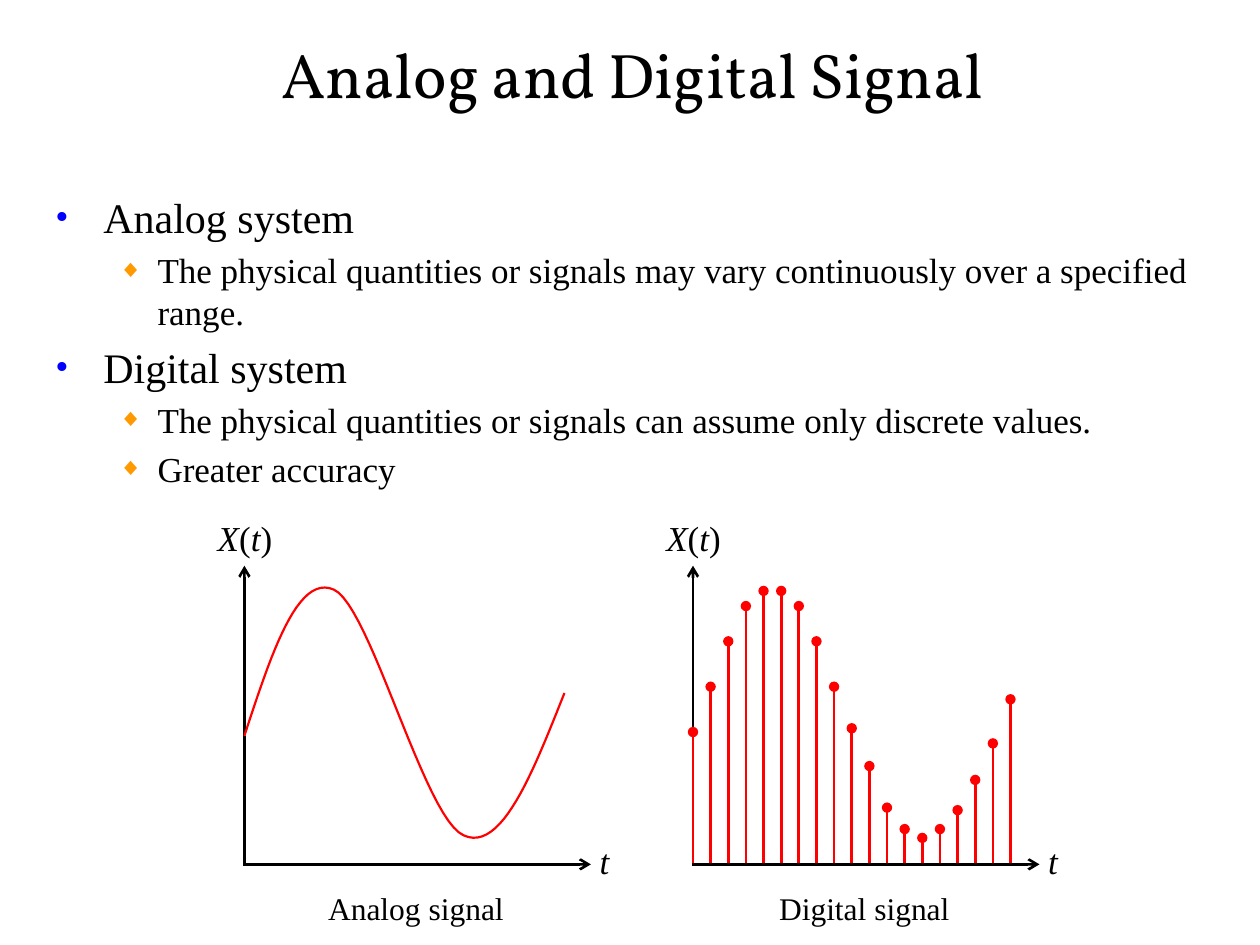
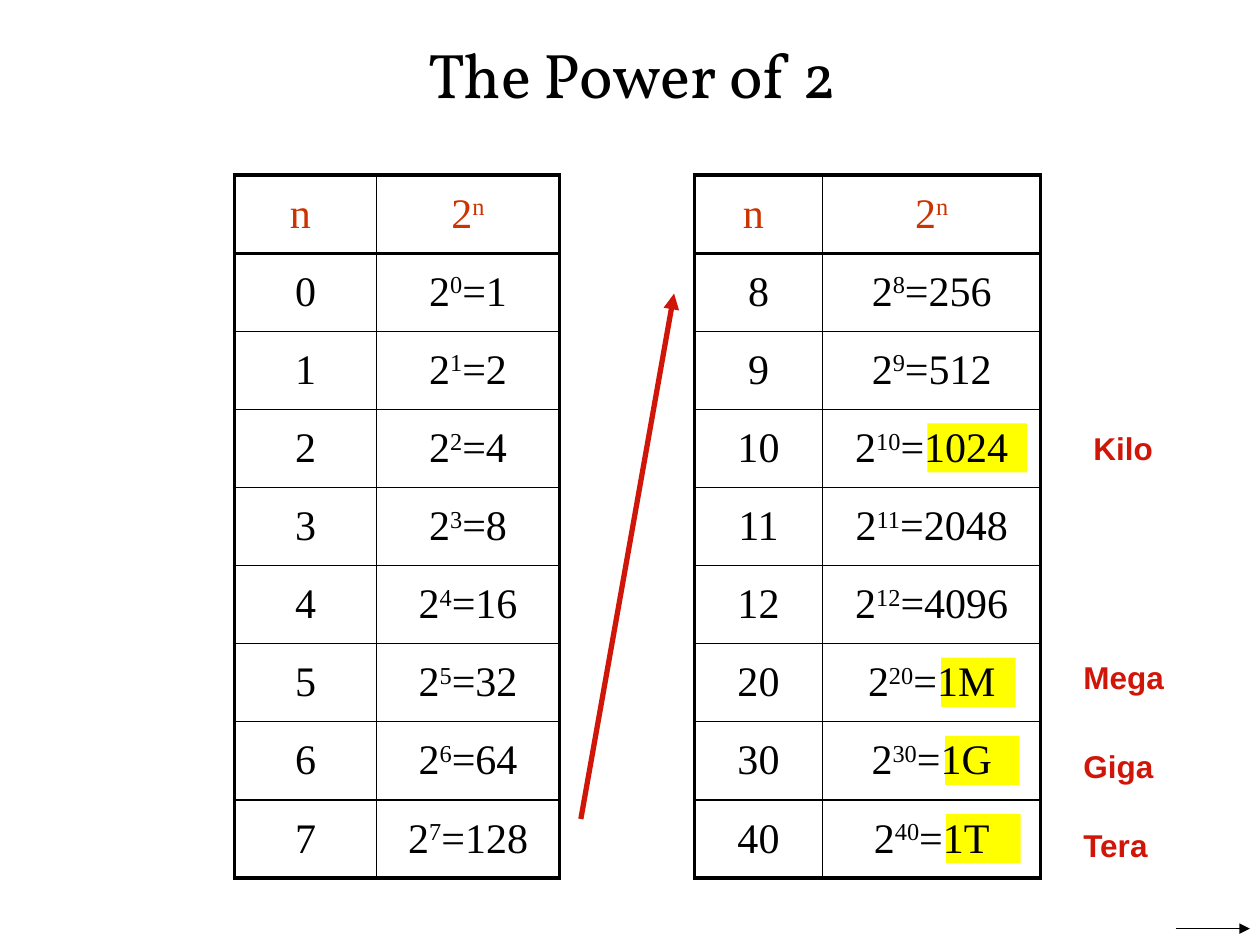
"""Build two slides on analog and digital signals and powers of two."""
from lxml import etree
from pptx import Presentation
from pptx import util as u
from pptx.dml.color import RGBColor
from pptx.enum import shapes, text
from pptx.oxml import ns

BLACK = RGBColor(0, 0, 0)
WHITE = RGBColor(0xFF, 0xFF, 0xFF)
RED = RGBColor(0xFF, 0, 0)
BLUE = RGBColor(0, 0, 0xFF)
ORANGE = RGBColor(0xFF, 0x99, 0)
RUST = RGBColor(0xCC, 0x33, 0)
CRIMSON = RGBColor(0xD0, 0x16, 0x08)
YELLOW = RGBColor(0xFF, 0xFF, 0)
SERIF, SANS, HEAD = "Times New Roman", "Arial", "Vollkorn"
THICK, THIN = 2.25, 1

BULLETS = [(0, "Analog system"),
           (1, "The physical quantities or signals may vary continuously "
               "over a specified range."),
           (0, "Digital system"),
           (1, "The physical quantities or signals can assume only discrete values."),
           (1, "Greater accuracy")]
LEVELS = [("•", BLUE, 90, 24, 0.38, 0.38), ("◆", ORANGE, 70, 20, 0.81, 0.31)]
WAVE = [(1.94, 5.84), (2.15, 5.2), (2.36, 4.55), (2.65, 4.68), (2.94, 4.81),
        (3.37, 6.5), (3.68, 6.63), (3.98, 6.77), (4.23, 6.13), (4.48, 5.5)]
STEMS = [5.81, 5.45, 5.09, 4.81, 4.69, 4.69, 4.81, 5.09, 5.45, 5.78,
         6.08, 6.41, 6.58, 6.65, 6.58, 6.43, 6.19, 5.9, 5.55]
LOW = [(str(n), str(2 ** n)) for n in range(8)]
HIGH = [(str(n), str(2 ** n)) for n in range(8, 13)]
HIGH += [("20", "1M"), ("30", "1G"), ("40", "1T")]
MARKS = [(7.36, 3.36, 0.79), (7.47, 5.22, 0.59), (7.5, 5.84, 0.59), (7.51, 6.46, 0.59)]
UNITS = [("Kilo", 8.58, 3.36, 0.67), ("Mega", 8.5, 5.17, 0.84),
         ("Giga", 8.5, 5.88, 0.76), ("Tera", 8.5, 6.51, 0.73)]


def node(up, tag, **attrs):
    """Append a DrawingML element and return it."""
    return etree.SubElement(up, ns.qn("a:" + tag), attrs)


def place(shape, *box):
    """Move and size a shape."""
    shape.left, shape.top, shape.width, shape.height = map(u.Inches, box)


def add_run(para, words, size, color=BLACK, face=SERIF, **style):
    """Add one formatted run."""
    run = para.add_run()
    run.text = words
    font = run.font
    font.size, font.name = u.Pt(size), face
    font.color.rgb = color
    for key, value in style.items():
        setattr(font, key, value)
    return run


def add_slide(deck, layout, words):
    """Add a slide with the shared title style."""
    slide = deck.slides.add_slide(deck.slide_layouts[layout])
    title = slide.shapes.title
    place(title, 0.33, 0.25, 9.38, 0.67)
    frame = title.text_frame
    frame.margin_left = frame.margin_right = frame.margin_top = frame.margin_bottom = 0
    frame.vertical_anchor = text.MSO_ANCHOR.MIDDLE
    frame.auto_size = text.MSO_AUTO_SIZE.NONE
    frame.paragraphs[0].alignment = text.PP_ALIGN.CENTER
    add_run(frame.paragraphs[0], words, 36, face=HEAD)
    return slide


def add_list(slide):
    """Fill the body placeholder with the two-level list."""
    body = slide.placeholders[1]
    place(body, 0.34, 1.47, 9.37, 5.69)
    frame = body.text_frame
    frame.auto_size = text.MSO_AUTO_SIZE.NONE
    for i, (level, words) in enumerate(BULLETS):
        para = frame.add_paragraph() if i else frame.paragraphs[0]
        char, color, scale, size, left, hang = LEVELS[level]
        para.level = level
        para.space_before = u.Pt(size * 0.2 if i else 0)
        props = para._p.get_or_add_pPr()
        props.set("marL", str(u.Inches(left)))
        props.set("indent", str(-u.Inches(hang)))
        node(node(props, "buClr"), "srgbClr", val=str(color))
        node(props, "buSzPct", val=str(scale * 1000))
        node(props, "buFont", typeface=SERIF)
        node(props, "buChar", char=char)
        add_run(para, words, size)


def add_label(slide, left, top, width, parts, size, height=0.4, **style):
    """Add a one-line label; parts pair words with an italic flag."""
    box = slide.shapes.add_textbox(*map(u.Inches, (left, top, width, height)))
    frame = box.text_frame
    frame.word_wrap = False
    frame.auto_size = text.MSO_AUTO_SIZE.SHAPE_TO_FIT_TEXT
    for words, slant in parts:
        add_run(frame.paragraphs[0], words, size, italic=slant, **style)


def add_line(slide, start, end, color, width, tip):
    """Draw a straight line with a tip at its end."""
    line = slide.shapes.add_connector(shapes.MSO_CONNECTOR.STRAIGHT,
                                      *map(u.Inches, (*start, *end)))
    line.line.color.rgb = color
    line.line.width = u.Pt(width)
    node(line.line._get_or_add_ln(), "tailEnd", type=tip)
    node(line._element.spPr, "effectLst")


def add_axes(slide, left, name, width):
    """Draw one pair of axes with its labels and caption."""
    add_line(slide, (left, 6.85), (left, 4.49), BLACK, 1.5, "arrow")
    add_line(slide, (left - 0.01, 6.86), (left + 2.75, 6.86), BLACK, 1.5, "arrow")
    add_label(slide, left + 2.72, 6.61, 0.28, [("t", True)], 20, 0.44)
    signal = [("X", True), ("(", False), ("t", True), (")", False)]
    add_label(slide, left - 0.31, 4.05, 0.64, signal, 20, 0.44)
    add_label(slide, left + 1.37 - width / 2, 7.01, width, [(name, False)], 18)


def bend(knots, t):
    """Return the point at t on a cubic Bezier curve, in EMU."""
    rates = ((1 - t) ** 3, 3 * t * (1 - t) ** 2, 3 * t * t * (1 - t), t ** 3)
    return tuple(u.Inches(sum(r * k[i] for r, k in zip(rates, knots))) for i in (0, 1))


def add_wave(slide):
    """Draw the smooth analog signal."""
    steps = 24
    points = [bend(WAVE[i:i + 4], s / steps)
              for i in range(0, len(WAVE) - 1, 3) for s in range(1, steps + 1)]
    form = slide.shapes.build_freeform(*map(u.Inches, WAVE[0]))
    form.add_line_segments(points, close=False)
    wave = form.convert_to_shape()
    wave.shadow.inherit = False
    wave.fill.solid()
    wave.fill.fore_color.rgb = WHITE
    wave.line.color.rgb = RED
    wave.line.width = u.Pt(1.25)


def add_mark(slide, left, top, width):
    """Add a yellow highlight."""
    mark = slide.shapes.add_shape(shapes.MSO_SHAPE.RECTANGLE,
                                  *map(u.Inches, (left, top, width, 0.39)))
    mark.shadow.inherit = False
    mark.fill.solid()
    mark.fill.fore_color.rgb = YELLOW
    mark.line.fill.background()


def set_edges(cell, widths):
    """Set the left, right, top and bottom borders of a cell."""
    props = cell._tc.get_or_add_tcPr()
    for side, width in zip("LRTB", widths):
        edge = node(props, "ln" + side, w=str(u.Pt(width)))
        node(node(edge, "solidFill"), "srgbClr", val=str(BLACK))


def add_powers(slide, left, cols, rows):
    """Add a table of exponents and powers of two."""
    count, pitch = len(rows) + 1, 0.62
    frame = slide.shapes.add_table(count, 2, *map(
        u.Inches, (left, 1.39, sum(cols), count * pitch)))
    table = frame.table
    table.first_row = table.horz_banding = False
    for col, width in zip(table.columns, cols):
        col.width = u.Inches(width)
    for r, (power, value) in enumerate([("n", "")] + rows):
        table.rows[r].height = u.Inches(pitch)
        color = BLACK if r else RUST
        for c in (0, 1):
            cell = table.cell(r, c)
            set_edges(cell, (THIN if c else THICK, THICK if c else THIN,
                             THICK if r < 2 else THIN,
                             THICK if r in (0, count - 1) else THIN))
            cell.fill.background()
            cell.vertical_anchor = text.MSO_ANCHOR.MIDDLE
            para = cell.text_frame.paragraphs[0]
            para.alignment = text.PP_ALIGN.CENTER
            if c == 0:
                add_run(para, power if r else "n ", 24, color)
                continue
            add_run(para, "2", 24, color)
            lift = add_run(para, power, 24, color)
            lift._r.get_or_add_rPr().set("baseline", "30000")
            if value:
                add_run(para, "=" + value, 24, color)


def main():
    """Build and save the deck."""
    deck = Presentation()
    deck.slide_width, deck.slide_height = u.Inches(10), u.Inches(7.5)

    slide = add_slide(deck, 1, "Analog and Digital Signal")
    add_list(slide)
    add_axes(slide, 1.94, "Analog signal", 1.61)
    add_wave(slide)
    add_axes(slide, 5.5, "Digital signal", 1.57)
    for i, top in enumerate(STEMS):
        left = 5.5 + i * 0.14
        add_line(slide, (left, 6.85), (left, top), RED, 1.5, "oval")

    slide = add_slide(deck, 5, "The Power of 2")
    for mark in MARKS:
        add_mark(slide, *mark)
    add_powers(slide, 1.86, (1.13, 1.45), LOW)
    add_powers(slide, 5.51, (1.02, 1.73), HIGH)
    add_line(slide, (4.61, 6.5), (5.35, 2.33), CRIMSON, 3, "triangle")
    for name, left, top, width in UNITS:
        add_label(slide, left, top, width, [(name, False)], 18,
                  color=CRIMSON, face=SANS, bold=True)
    add_line(slide, (9.33, 7.37), (9.92, 7.37), BLACK, 0.75, "triangle")

    deck.save("out.pptx")


if __name__ == "__main__":
    main()
